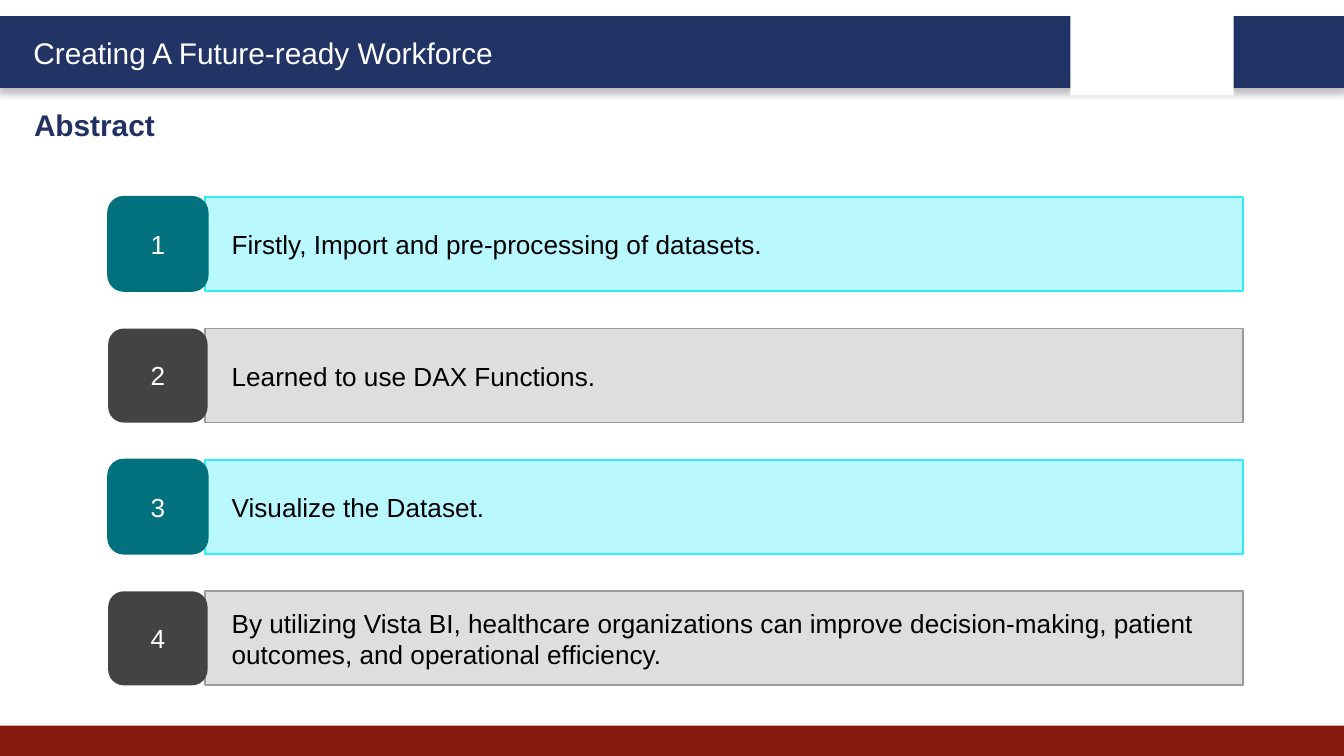
from dataclasses import dataclass
from typing import Optional

from lxml import etree
from pptx import Presentation
from pptx.dml.color import RGBColor
from pptx.enum.shapes import MSO_SHAPE
from pptx.enum.text import MSO_ANCHOR, PP_ALIGN
from pptx.oxml.ns import qn
from pptx.util import Pt

RECTANGLE = MSO_SHAPE.RECTANGLE
ROUNDED = MSO_SHAPE.ROUNDED_RECTANGLE
MIDDLE = MSO_ANCHOR.MIDDLE
LEFT, CENTER = PP_ALIGN.LEFT, PP_ALIGN.CENTER

EMU_PER_PX = 4572  # 200 px to the inch
PAGE_WIDTH, PAGE_HEIGHT = 2000, 1125
FONT = "Arial"
COLORS = {
    "white": "FFFFFF",
    "black": "000000",
    "navy": "223366",
    "heading": "213163",
    "red": "851910",
    "teal": "00717D",
    "aqua": "BAF8FF",
    "aqua_line": "31EBFF",
    "charcoal": "434343",
    "silver": "DEDEDE",
    "silver_line": "9B9B9B",
}

FIRST_ROW_TOP = 293
ROW_PITCH = 195.6
ROW_HEIGHT = 140


@dataclass(frozen=True)
class Area:
    left: int
    top: int
    width: int
    height: int

    def emu(self) -> list[int]:
        return [v * EMU_PER_PX for v in (self.left, self.top, self.width, self.height)]


@dataclass(frozen=True)
class RowStyle:
    badge: str
    badge_line: Optional[str]
    bar: str
    bar_line: str


ROW_STYLES = (
    RowStyle("teal", "teal", "aqua", "aqua_line"),
    RowStyle("charcoal", None, "silver", "silver_line"),
)
STEPS = (
    "Firstly, Import and pre-processing of datasets.",
    "Learned to use DAX Functions.",
    "Visualize the Dataset.",
    "By utilizing Vista BI, healthcare organizations can improve "
    "decision-making, patient outcomes, and operational efficiency.",
)


def rgb(name: str) -> RGBColor:
    return RGBColor.from_string(COLORS[name])


def write(shape, text: str, size: int, color: str, bold: bool = False, align=LEFT):
    paragraph = shape.text_frame.paragraphs[0]
    paragraph.text = text
    paragraph.alignment = align
    font = paragraph.runs[0].font
    font.name, font.size, font.bold = FONT, Pt(size), bold
    font.color.rgb = rgb(color)
    return paragraph


def add_block(page, kind, area: Area, fill: str, line: Optional[str] = None, weight: int = 1):
    block = page.shapes.add_shape(kind, *area.emu())
    block.shadow.inherit = False
    block.fill.solid()
    block.fill.fore_color.rgb = rgb(fill)
    if line:
        block.line.color.rgb = rgb(line)
        block.line.width = Pt(weight)
    else:
        block.line.fill.background()
    block.text_frame.word_wrap = True
    block.text_frame.vertical_anchor = MIDDLE
    return block


def add_drop_shadow(block) -> None:
    effects = block._element.spPr.find(qn("a:effectLst"))
    shadow = etree.SubElement(
        effects, qn("a:outerShdw"), blurRad=str(Pt(4)), dist=str(Pt(3)),
        dir="5400000", algn="t", rotWithShape="0",
    )
    color = etree.SubElement(shadow, qn("a:srgbClr"), val=COLORS["black"])
    etree.SubElement(color, qn("a:alpha"), val="25000")


def add_label(page, area: Area, text: str, color: str, bold: bool = False) -> None:
    box = page.shapes.add_textbox(*area.emu())
    box.text_frame.word_wrap = True
    write(box, text, 16, color, bold)


def add_step(page, index: int, text: str) -> None:
    """Draw one row: a text bar with its numbered badge on the left."""
    style = ROW_STYLES[index % len(ROW_STYLES)]
    top = FIRST_ROW_TOP + round(index * ROW_PITCH)
    bar = add_block(page, RECTANGLE, Area(305, top, 1545, ROW_HEIGHT), style.bar, style.bar_line)
    paragraph = write(bar, text, 14, "black")
    paragraph._p.get_or_add_pPr().set("marL", str(20 * EMU_PER_PX))
    badge = add_block(page, ROUNDED, Area(161, top, 148, ROW_HEIGHT), style.badge, style.badge_line)
    write(badge, str(index + 1), 14, "white", align=CENTER)


def main() -> None:
    deck = Presentation()
    deck.slide_width = PAGE_WIDTH * EMU_PER_PX
    deck.slide_height = PAGE_HEIGHT * EMU_PER_PX
    page = deck.slides.add_slide(deck.slide_layouts[6])

    header = add_block(page, RECTANGLE, Area(0, 26, PAGE_WIDTH, 102), "navy", "navy", 2)
    add_drop_shadow(header)
    add_block(page, RECTANGLE, Area(0, 1080, PAGE_WIDTH, 45), "red")
    add_block(page, RECTANGLE, Area(1593, 14, 243, 128), "white")
    add_label(page, Area(30, 42, 756, 74), "Creating A Future-ready Workforce", "white")
    add_label(page, Area(31, 149, 968, 74), "Abstract", "heading", bold=True)

    for index, text in enumerate(STEPS):
        add_step(page, index, text)

    deck.save("out.pptx")


if __name__ == "__main__":
    main()
